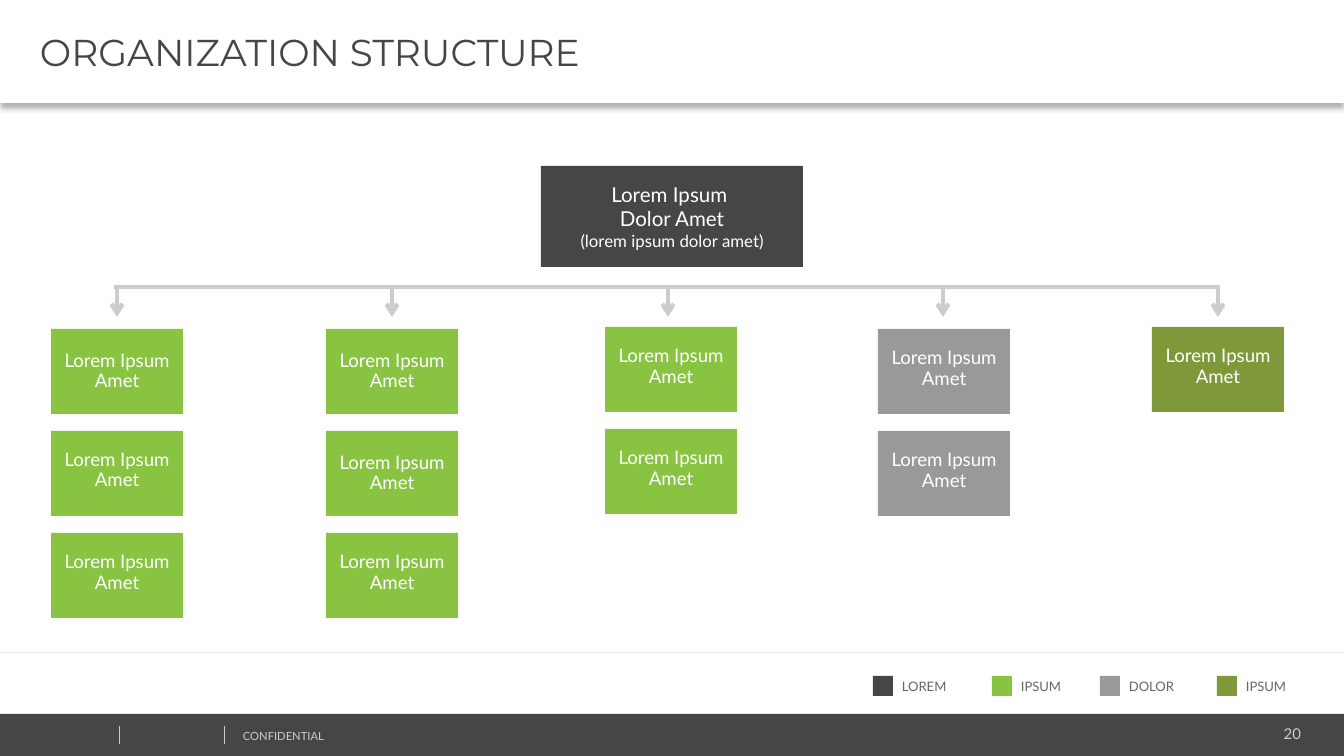
"""Build the organization structure slide."""
from lxml import etree
from pptx import Presentation
from pptx import util as u
from pptx.dml.color import RGBColor
from pptx.enum import shapes, text
from pptx.oxml import ns

DARK, GREEN, GRAY, OLIVE = "464547", "88C341", "999999", "7F993A"
WHITE, PALE, RULE, LABEL = "FFFFFF", "CCCCCC", "E6E6E6", "666666"
LEFT, CENTER, RIGHT = text.PP_ALIGN.LEFT, text.PP_ALIGN.CENTER, text.PP_ALIGN.RIGHT


def px(length):
    """Turn pixels into EMU."""
    return u.Emu(round(length * 914400 / 134.4))


def rgb(code):
    """Turn a hex string into a colour."""
    return RGBColor.from_string(code)


class Painter:
    """Hold the style and the current slide."""

    def __init__(self, slide, font="Lato"):
        """Keep the slide and its main font."""
        self.slide, self.font = slide, font

    def set_text(self, shape, lines, color, align=LEFT, insets=(9, 5, 9, 5),
                 anchor=text.MSO_ANCHOR.MIDDLE, spacing=None, font=None):
        """Fill a shape with (words, size) paragraphs."""
        frame = shape.text_frame
        frame.word_wrap, frame.vertical_anchor = True, anchor
        (frame.margin_left, frame.margin_top,
         frame.margin_right, frame.margin_bottom) = map(px, insets)
        for index, (words, size) in enumerate(lines):
            para = frame.add_paragraph() if index else frame.paragraphs[0]
            para.text, para.alignment = words, align
            if spacing:
                para.line_spacing = spacing
            para.font.name, para.font.size = font or self.font, u.Pt(size)
            para.font.color.rgb = rgb(color)

    def box(self, left, top, width, height, fill):
        """Draw a plain filled rectangle."""
        box = self.slide.shapes.add_shape(
            shapes.MSO_SHAPE.RECTANGLE, *map(px, (left, top, width, height)))
        box.shadow.inherit = False
        box.fill.solid()
        box.fill.fore_color.rgb = rgb(fill)
        box.line.fill.background()
        return box

    def label(self, left, top, width, height, words, size, color, align=LEFT):
        """Place a line of free text."""
        label = self.slide.shapes.add_textbox(*map(px, (left, top, width, height)))
        self.set_text(label, [(words, size)], color, align, anchor=text.MSO_ANCHOR.TOP)

    def line(self, start, end, color, weight, arrow=False):
        """Draw a straight line, with an arrowhead at its end if asked."""
        line = self.slide.shapes.add_connector(
            shapes.MSO_CONNECTOR.STRAIGHT, *map(px, (*start, *end)))
        line.line.color.rgb, line.line.width = rgb(color), u.Pt(weight)
        properties = line._element.spPr
        if arrow:
            etree.SubElement(properties.find(ns.qn("a:ln")), ns.qn("a:tailEnd"), type="arrow")
        etree.SubElement(properties, ns.qn("a:effectLst"))

    def title(self, words):
        """Draw the title band with its soft shadow."""
        band = self.box(0, 0, 1344, 103, WHITE)
        effects = band._element.spPr.find(ns.qn("a:effectLst"))
        shadow = etree.SubElement(
            effects, ns.qn("a:outerShdw"), blurRad=str(u.Pt(3.1)), dist=str(u.Pt(2)),
            dir="5400000", algn="t", rotWithShape="0")
        black = etree.SubElement(shadow, ns.qn("a:srgbClr"), val="000000")
        etree.SubElement(black, ns.qn("a:alpha"), val="30000")
        self.set_text(band, [(words, 20)], DARK, insets=(40, 5, 9, 5), font="Montserrat")

    def column(self, left, top, fill, top_insets):
        """Stack equal unit boxes, one for each top inset."""
        for row, inset in enumerate(top_insets):
            unit = self.box(left, top + 102 * row, 132, 85, fill)
            self.set_text(unit, [("Lorem Ipsum Amet", 10)], WHITE, CENTER,
                          (9, inset, 9, 9), spacing=0.9)

    def legend(self, left, fill, words):
        """Draw a colour key and its label."""
        self.box(left, 676, 20, 20, fill)
        self.label(left + 20, 673, 100, 26, words, 7, LABEL)


def main():
    """Build and save the deck."""
    deck = Presentation()
    deck.slide_width, deck.slide_height = px(1344), px(756)
    page = Painter(deck.slides.add_slide(deck.slide_layouts[6]))

    page.box(0, 714, 1344, 42, DARK)
    page.label(1091, 720, 219, 28, "20", 8, PALE, RIGHT)
    page.label(234, 724, 340, 24, "CONFIDENTIAL", 6, PALE)
    for x in (119, 224):
        page.line((x, 726), (x, 744), PALE, 0.25)

    head = page.box(541, 166, 262, 101, DARK)
    page.set_text(head, [("Lorem Ipsum \vDolor Amet", 11), ("(lorem ipsum dolor amet)", 9)],
                  WHITE, CENTER)
    for column in ((51, 329, GREEN, (9, 3, 4)), (326, 329, GREEN, (9, 9, 4)),
                   (605, 327, GREEN, (4, 4)), (878, 329, GRAY, (4, 4)),
                   (1152, 327, OLIVE, (4,))):
        page.column(*column)

    page.line((0, 653), (1344, 653), RULE, 0.5)
    page.line((114, 287), (1220, 287), PALE, 2.25)
    for x in (117, 392, 668, 943, 1218):
        page.line((x, 287), (x, 317), PALE, 2.25, arrow=True)

    page.title("ORGANIZATION STRUCTURE")
    for key in ((873, DARK, "LOREM"), (992, GREEN, "IPSUM"),
                (1100, GRAY, "DOLOR"), (1217, OLIVE, "IPSUM")):
        page.legend(*key)
    deck.save("out.pptx")


if __name__ == "__main__":
    main()
